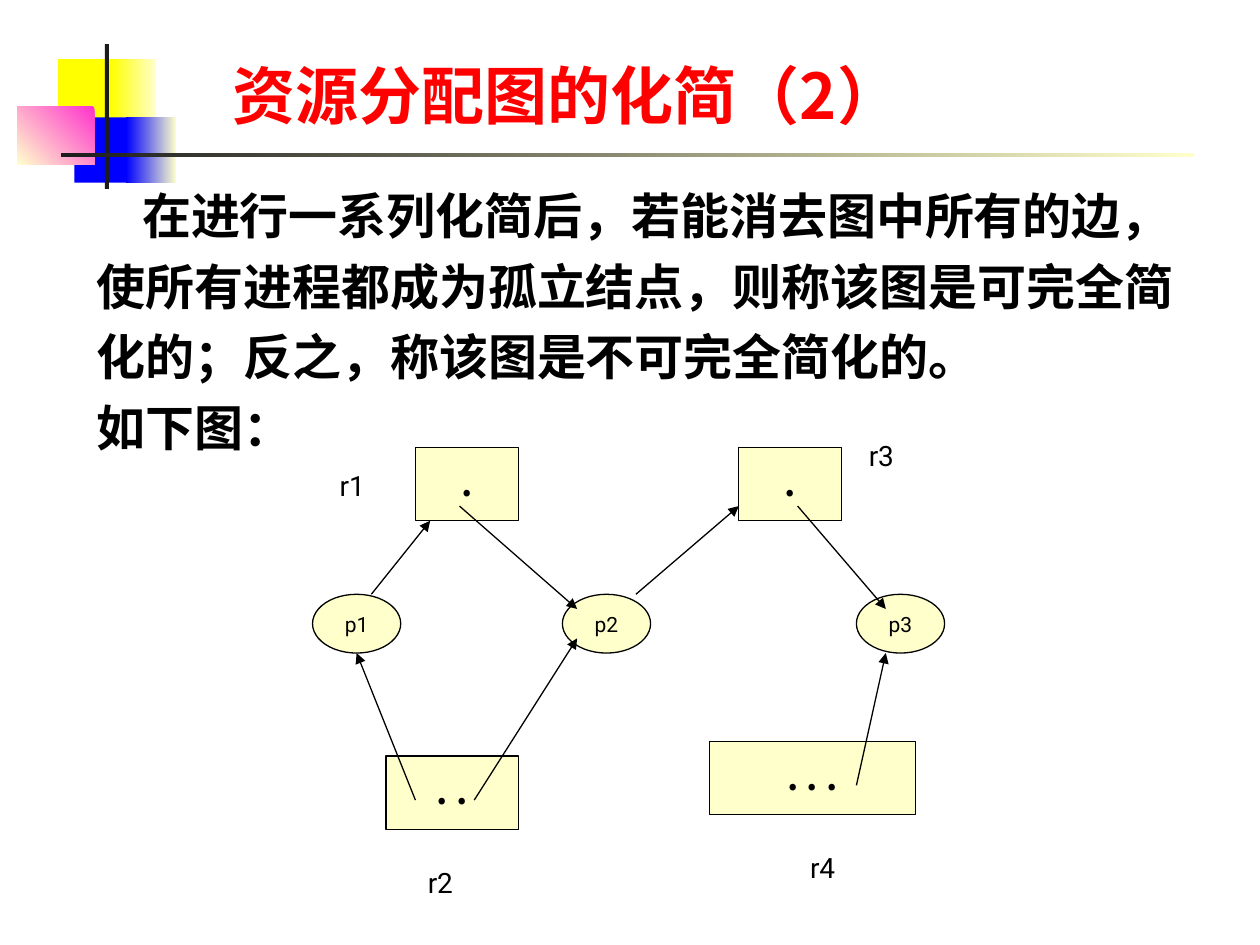
"""Build the slide on reducing a resource allocation graph."""
from lxml import etree
from pptx import Presentation
from pptx.dml.color import RGBColor
from pptx.enum.shapes import MSO_CONNECTOR, MSO_SHAPE
from pptx.enum.text import MSO_ANCHOR, PP_ALIGN
from pptx.oxml.ns import qn
from pptx.util import Pt

RECT, OVAL = MSO_SHAPE.RECTANGLE, MSO_SHAPE.OVAL
LINE = MSO_CONNECTOR.STRAIGHT
TOP, MID, LOW = MSO_ANCHOR.TOP, MSO_ANCHOR.MIDDLE, MSO_ANCHOR.BOTTOM
LEFT, MIDDLE = PP_ALIGN.LEFT, PP_ALIGN.CENTER

THEME = {
    "cream": "FFFFCC", "yellow": "FFFF00", "blue": "0000FF", "pink": "FF33CC",
    "dark": "1C1C1C", "black": "000000", "red": "FF0000",
    "han": "Noto Sans CJK SC", "latin": "Roboto",
    "title": 36, "body": 28, "dot": 20, "label": 16, "node": 12, "line": 0.75,
}

TITLE = "资源分配图的化简（2）"
BODY = [
    ("在进行一系列化简后，若能消去图中所有的边，使所有进程都成为孤立结点，"
     "则称该图是可完全简化的；反之，称该图是不可完全简化的。", 26),
    ("如下图：", 0),
]

# decor
DECOR = [
    ((33.1, 33.8, 34.6, 37.4), ["yellow"], 0),
    ((63.4, 33.8, 25.9, 37.4), ["cream", "yellow"], 180),
    ((42.5, 67, 33.1, 37.4), ["blue"], 0),
    ((72, 67, 28.8, 37.4), ["cream", "blue"], 180),
    ((10, 61, 44, 33.1), ["pink", "cream"], 225),
    ((60, 25.2, 2.2, 82.8), ["dark"], 0),
    ((34.6, 87.2, 648, 2.5), ["cream", "dark"], 180),
]

UNIT, LEFT_EDGE, TOP_EDGE = 8.4, 178.6, 255.6
NODES = [("p2", 17, 10), ("p1", 0, 10), ("p3", 37, 10)]
BOXES = [(1, 7, 0, 7), (1, 29, 0, 7), (2, 5, 21, 9), (3, 27, 20, 14)]
LABELS = [("r1", 1, 1), ("r3", 37, -1), ("r2", 7, 28), ("r4", 33, 27)]
EDGES = [
    ((10, 4), (18, 11)), ((11, 24), (18, 13)), ((7, 24), (3, 14)),
    ((33, 4), (39, 11)), ((4, 10), (8, 5)), ((22, 10), (29, 4)),
    ((37, 23), (39, 14)),
]


def tint(name):
    return RGBColor.from_string(THEME[name])


def spot(col, row):
    return LEFT_EDGE + col * UNIT, TOP_EDGE + row * UNIT


def area(col, row, wide, high):
    return (*spot(col, row), wide * UNIT, high * UNIT)


def add_text(para, text, size, font="han", color="black", bold=False):
    run = para.add_run()
    run.text = text
    run.font.size = Pt(THEME[size])
    run.font.bold = bold
    run.font.color.rgb = tint(color)
    run.font.name = THEME[font]
    face = etree.SubElement(run.font._element, qn("a:ea"))
    face.set("typeface", THEME[font])


def add_box(slide, place, anchor=TOP):
    frame = slide.shapes.add_textbox(*map(Pt, place)).text_frame
    frame.word_wrap = True
    frame.vertical_anchor = anchor
    return frame


def add_form(slide, kind, place, colors, angle=0):
    form = slide.shapes.add_shape(kind, *map(Pt, place))
    form.shadow.inherit = False
    form.line.fill.background()
    if len(colors) == 1:
        form.fill.solid()
        form.fill.fore_color.rgb = tint(colors[0])
    else:
        form.fill.gradient()
        form.fill.gradient_angle = angle
        for stop, color in zip(form.fill.gradient_stops, colors):
            stop.color.rgb = tint(color)
    return form


def add_node(slide, kind, place):
    form = add_form(slide, kind, place, ["cream"])
    form.line.color.rgb = tint("black")
    form.line.width = Pt(THEME["line"])
    form.text_frame.word_wrap = False
    form.text_frame.vertical_anchor = MID
    para = form.text_frame.paragraphs[0]
    para.alignment = MIDDLE
    return para


def add_edge(slide, start, end):
    edge = slide.shapes.add_connector(LINE, *map(Pt, spot(*start) + spot(*end)))
    edge.line.color.rgb = tint("black")
    edge.line.width = Pt(THEME["line"])
    etree.SubElement(edge.line._get_or_add_ln(), qn("a:tailEnd")).set("type", "triangle")
    etree.SubElement(edge._element.spPr, qn("a:effectLst"))


def add_body(slide):
    frame = add_box(slide, (48.2, 95.8, 640.8, 168.5))
    for index, (text, indent) in enumerate(BODY):
        para = frame.add_paragraph() if index else frame.paragraphs[0]
        para.alignment = LEFT
        para.line_spacing = 1.2
        para._p.get_or_add_pPr().set("indent", str(Pt(indent)))
        add_text(para, text, "body", bold=True)


def add_graph(slide):
    for name, col, row in NODES:
        add_text(add_node(slide, OVAL, area(col, row, 6, 4)), name, "node", "latin")
    for count, col, row, wide in BOXES:
        para = add_node(slide, RECT, area(col, row, wide, 5))
        para.line_spacing = 0.95
        add_text(para, " ".join("." * count), "dot", bold=True)
    for name, col, row in LABELS:
        frame = add_box(slide, area(col, row, 5, 3.2))
        add_text(frame.paragraphs[0], name, "label", "latin")
    for start, end in EDGES:
        add_edge(slide, start, end)


def main():
    deck = Presentation()
    deck.slide_width, deck.slide_height = Pt(720), Pt(540)
    slide = deck.slides.add_slide(deck.slide_layouts[6])
    for place, colors, angle in DECOR:
        add_form(slide, RECT, place, colors, angle)
    title = add_box(slide, (126, 43.2, 472.3, 36), LOW)
    add_text(title.paragraphs[0], TITLE, "title", color="red", bold=True)
    add_body(slide)
    add_graph(slide)
    deck.save("out.pptx")


if __name__ == "__main__":
    main()
